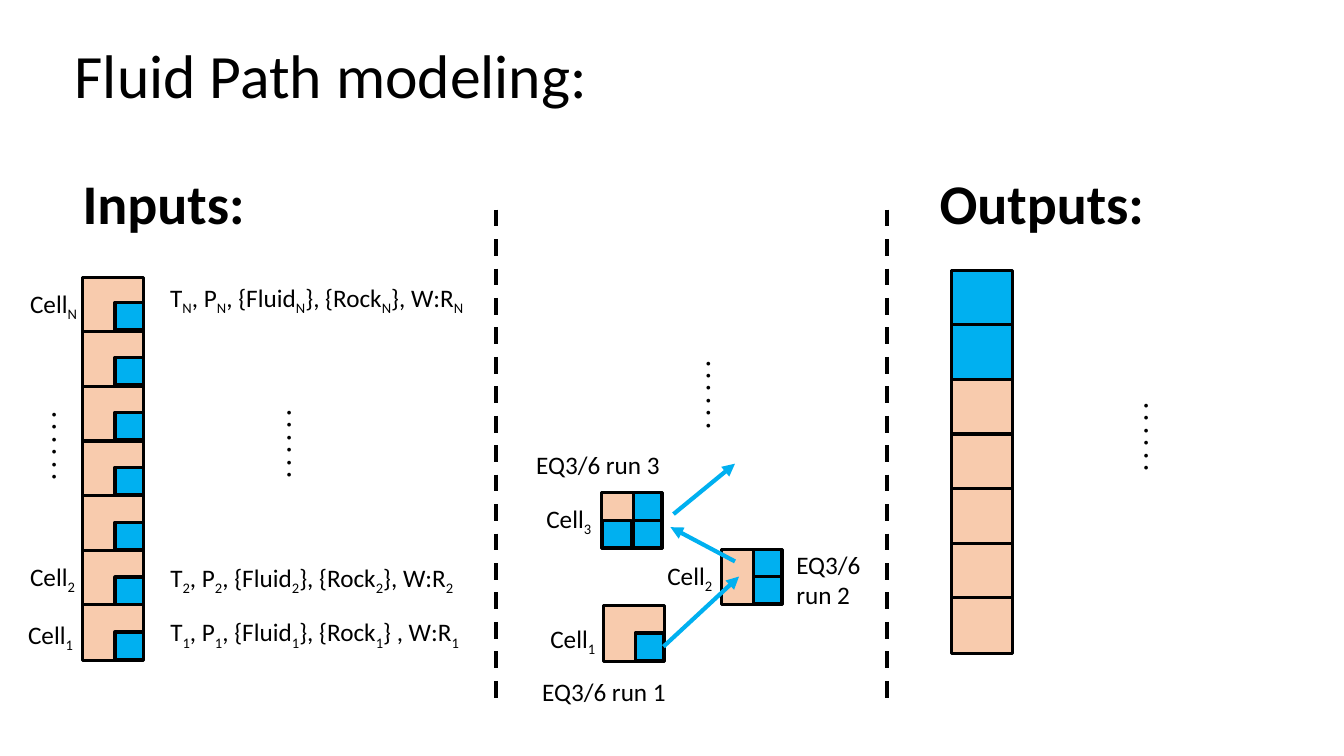
import pptx
import pptx.util
import pptx.dml.color
import pptx.enum.dml
import pptx.enum.shapes
import pptx.enum.text
import lxml.etree
from pptx.util import Inches

ROCK, FLUID, BLACK = "F8CBAD", "00B0F0", "000000"
WIDE, HIGH = 0.6, 0.55        # cell
SMALL, SHORT = 0.28, 0.27     # fluid part of a cell
STEP = 3.25 / 6               # pitch of the stacked cells
COUNT = 7

TITLE = "Fluid Path modeling:"
HEADS = [("Inputs:", 0.72), ("Outputs:", 9.22)]
# An underscore puts the next character in subscript.
LABELS = [
    ("T_1, P_1, {Fluid_1}, {Rock_1} , W:R_1", 1.59, 6.07, 3.15),
    ("T_2, P_2, {Fluid_2}, {Rock_2}, W:R_2", 1.59, 5.53, 3.15),
    ("T_N, P_N, {Fluid_N}, {Rock_N}, W:R_N", 1.59, 2.75, 3.2),
    ("EQ3/6 run 1", 5.28, 6.66, 2.74),
    ("EQ3/6\nrun 2", 7.8, 5.4, 2.74),
    ("EQ3/6 run 3", 5.22, 4.41, 2.74),
    ("Cell_1", 0.18, 6.09, 0.72),
    ("Cell_2", 0.2, 5.52, 0.72),
    ("Cell_N", 0.2, 2.81, 0.72),
    ("Cell_1", 5.36, 6.13, 0.72),
    ("Cell_3", 5.32, 4.94, 0.72),
    ("Cell_2", 6.52, 5.51, 0.72),
]
DOTS = [(-0.05, 4.16), (2.28, 4.14), (6.44, 3.65), (10.78, 4.07)]
# Left, top, and the (column, row) quarters filled with fluid
RUNS = [
    (7.16, 5.45, [(1, 0), (1, 1)]),
    (5.97, 4.89, [(1, 0), (1, 1), (0, 1)]),
    (5.99, 6.01, [(1, 1)]),
]
RULES = [(4.92, 7.02), (8.8, 7.01)]
ARROWS = [
    (6.58, 6.42, 7.33, 5.72),
    (7.29, 5.57, 6.65, 5.23),
    (6.68, 5.1, 7.29, 4.6),
]

deck = pptx.Presentation()
deck.slide_width, deck.slide_height = Inches(13.33), Inches(7.5)
slide = deck.slides.add_slide(deck.slide_layouts[5])
shapes = slide.shapes


def color(code):
    return pptx.dml.color.RGBColor.from_string(code)


def style(font, size, bold=False):
    look = {"name": "Calibri", "size": pptx.util.Pt(size), "bold": bold}
    for key, value in look.items():
        setattr(font, key, value)
    font.color.rgb = color(BLACK)


def write(text, left, top, width, height=0.4, size=18, bold=False):
    box = shapes.add_textbox(*map(Inches, (left, top, width, height)))
    frame = box.text_frame
    frame.word_wrap = True
    for i, line in enumerate(text.split("\n")):
        para = frame.paragraphs[0] if i == 0 else frame.add_paragraph()
        first, *rest = line.split("_")
        parts = [(first, False)]
        for part in rest:
            parts += [(part[0], True), (part[1:], False)]
        for words, sub in parts:
            if not words:
                continue
            run = para.add_run()
            run.text = words
            style(run.font, size, bold)
            if sub:
                run._r.get_or_add_rPr().set("baseline", "-25000")
    return box


def block(left, top, width, height, fill):
    rect = shapes.add_shape(pptx.enum.shapes.MSO_SHAPE.RECTANGLE,
                            *map(Inches, (left, top, width, height)))
    rect.shadow.inherit = False
    rect.fill.solid()
    rect.fill.fore_color.rgb = color(fill)
    rect.line.color.rgb = color(BLACK)
    rect.line.width = pptx.util.Pt(2.25)
    return rect


def join(x1, y1, x2, y2, shade):
    link = shapes.add_connector(pptx.enum.shapes.MSO_CONNECTOR.STRAIGHT,
                                *map(Inches, (x1, y1, x2, y2)))
    link.line.color.rgb = color(shade)
    link.line.width = pptx.util.Pt(3)
    props = link._element.spPr
    lxml.etree.SubElement(props, pptx.oxml.ns.qn("a:effectLst"))
    return link


def main():
    title = shapes.title
    place = {"left": 0.64, "top": 0.39, "width": 11.5, "height": 0.75}
    for key, value in place.items():
        setattr(title, key, Inches(value))
    frame = title.text_frame
    frame.text = TITLE
    frame.vertical_anchor = pptx.enum.text.MSO_ANCHOR.BOTTOM
    para = frame.paragraphs[0]
    para.alignment = pptx.enum.text.PP_ALIGN.LEFT
    para.line_spacing = 0.8
    style(para.runs[0].font, 44)

    for text, left in HEADS:
        write(text, left, 1.62, 2.32, 0.77, 40, True)

    for i in range(COUNT):
        block(0.82, 2.75 + i * STEP, WIDE, HIGH, ROCK)
        block(9.44, 2.68 + i * STEP, WIDE, HIGH, FLUID if i < 2 else ROCK)
    for i in range(COUNT):
        block(1.14, 3 + i * 0.545, SMALL, SHORT, FLUID)

    for left, top, parts in RUNS:
        block(left, top, WIDE, HIGH, ROCK)
        for col, row in parts:
            part = block(left + 0.01 + col * 0.3, top + row * SHORT,
                         SMALL, SHORT, FLUID)

    for x, end in RULES:
        rule = join(x, 2.08, x, end, BLACK)
        rule.line.dash_style = pptx.enum.dml.MSO_LINE.DASH

    arrows = [join(*ends, FLUID) for ends in ARROWS]
    for arrow in arrows:
        line = arrow.line._get_or_add_ln()
        lxml.etree.SubElement(line, pptx.oxml.ns.qn("a:tailEnd"),
                              type="triangle")
    arrows[0].begin_connect(part, 3)

    for label in LABELS:
        write(*label)
    for left, top in DOTS:
        write(". . . . . .", left, top, 1.01, bold=True).rotation = 270

    deck.save("out.pptx")


if __name__ == "__main__":
    main()
